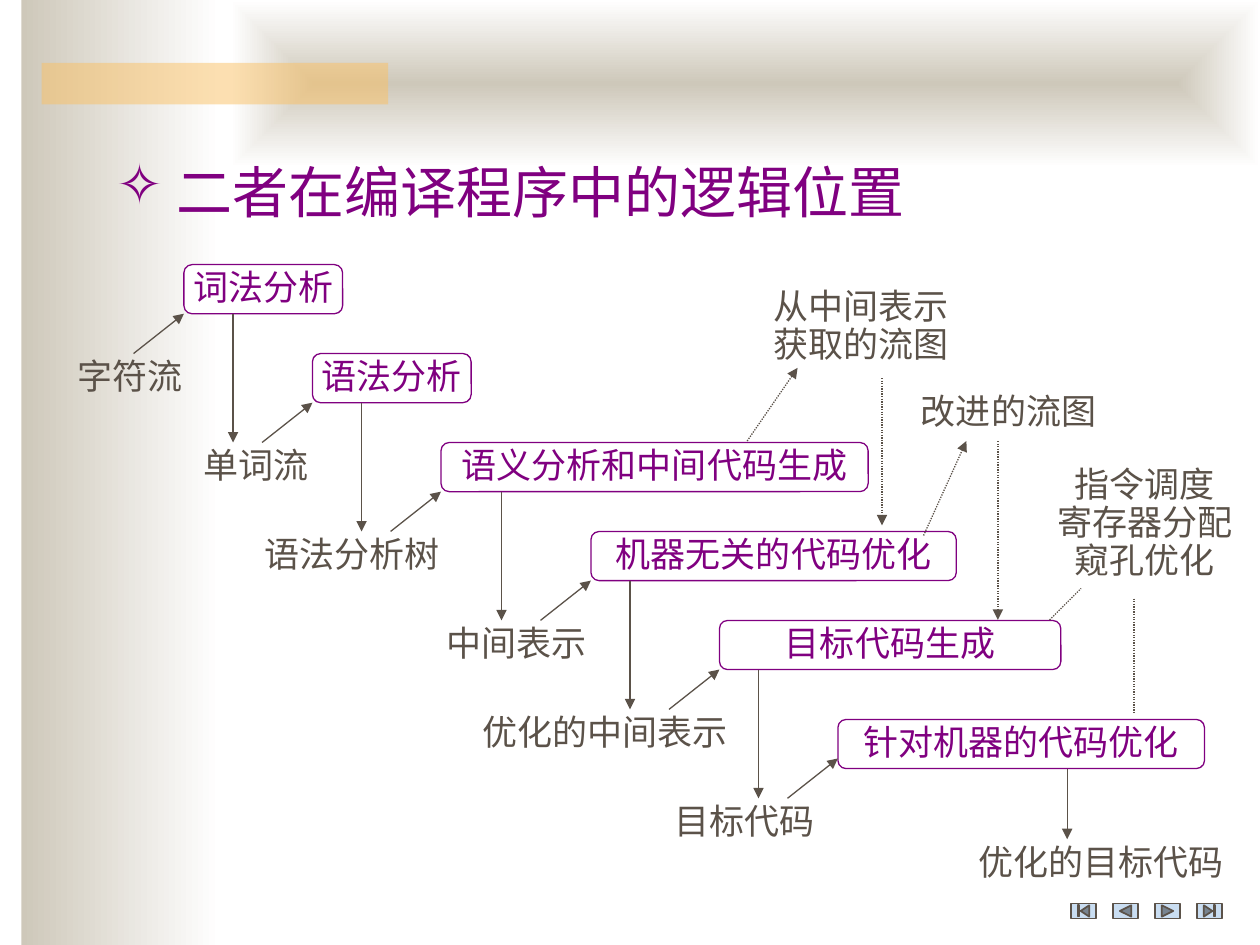
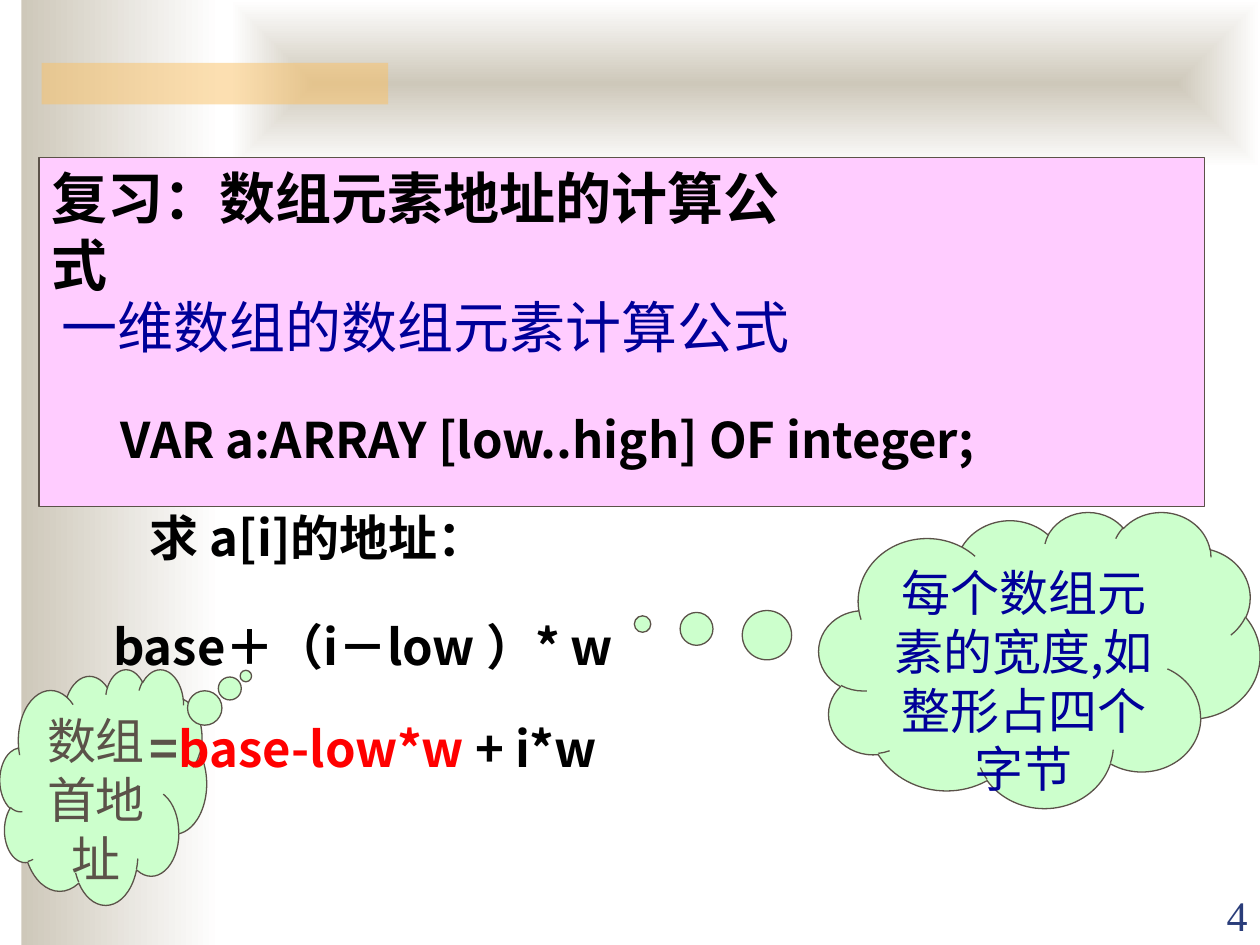
from dataclasses import dataclass
from typing import Any, Optional

import pptx
import pptx.dml.color
import pptx.enum.dml
import pptx.enum.shapes
import pptx.enum.text
import pptx.oxml
import pptx.oxml.ns
import pptx.util

COLUMNS, ROWS = 100, 75
SLIDE_WIDTH, SLIDE_HEIGHT = pptx.util.Inches(10), pptx.util.Inches(7.5)

WHITE, BLACK, RED = "FFFFFF", "000000", "FF0000"
SAND, AMBER, BROWN = "CEC8BA", "FAC164", "5B5249"
PURPLE, NAVY, SLATE = "800080", "000099", "2A3D7A"
PINK, MINT, ICE = "FFCCFF", "CCFFCC", "C9DDF1"
SERIF, SANS_SC, SANS_JP = "Times New Roman", "Noto Sans CJK SC", "Noto Sans CJK JP"

SHAPES = pptx.enum.shapes.MSO_SHAPE
ALIGN = pptx.enum.text.PP_ALIGN
ANCHOR = pptx.enum.text.MSO_ANCHOR

STAGE_HEIGHT = 3.9
LABEL_HEIGHT = 4


@dataclass(frozen=True)
class Area:
    """A rectangle in grid columns and rows."""
    left: float
    top: float
    width: float
    height: float


@dataclass(frozen=True)
class Span:
    text: str
    color: str
    font: str = SANS_JP
    bold: bool = False


@dataclass(frozen=True)
class Style:
    size: float
    align: Any = ALIGN.LEFT
    anchor: Any = ANCHOR.TOP
    side_margin: float = 0.1
    line_spacing: Optional[float] = None


@dataclass(frozen=True)
class Stage:
    """A compiler phase, the label that feeds it, and where its output leaves."""
    name: str
    left: float
    width: float
    source: str
    source_left: float
    source_width: float
    output_column: float
    shift: float = 0


@dataclass(frozen=True)
class SideNote:
    lines: tuple[str, ...]
    area: Area
    rising: tuple[float, float, float, float]
    falling: tuple[float, float, float, float]
    arrow: bool = True


@dataclass(frozen=True)
class Cloud:
    text: str
    color: str
    area: Area
    tail: tuple[float, float]


@dataclass(frozen=True)
class FreeLine:
    spans: tuple[Span, ...]
    area: Area
    size: float = 28


FLOW = Style(20, ALIGN.CENTER, side_margin=0.05, line_spacing=0.9)
STAGE_TEXT = Style(20, ALIGN.CENTER, ANCHOR.MIDDLE, 0.05, 0.9)

STAGES = (
    Stage("词法分析", 14.6, 12.6, "字符流", 5.2, 10.3, 18.5),
    Stage("语法分析", 24.8, 12.6, "单词流", 15.2, 10.3, 28.7),
    Stage("语义分析和中间代码生成", 35, 33.9, "语法分析树", 19.3, 17.3, 39.8),
    Stage("机器无关的代码优化", 46.9, 29, "中间表示", 34.3, 13.4, 50),
    Stage("目标代码生成", 57.1, 27.1, "优化的中间表示", 36.6, 22.8, 60.2),
    Stage("针对机器的代码优化", 66.5, 29.1, "目标代码", 52.4, 13.4, 84.7, 0.8),
)
RESULT_AREA = Area(76, 66.6, 22.8, LABEL_HEIGHT)

SIDE_NOTES = (
    SideNote(("从中间表示获取的流图",), Area(60, 22.5, 16.7, 7),
             (59.3, 35, 63.3, 29.2), (70, 30, 70, 41.7)),
    SideNote(("改进的流图",), Area(71.7, 30.8, 16.7, 4),
             (73.3, 42.5, 76.7, 35), (79.2, 35, 79.2, 49.2)),
    SideNote(("指令调度", "寄存器分配", "窥孔优化"), Area(82.5, 36.6, 16.7, 10),
             (83.3, 49.2, 85.8, 46.7), (90, 47.5, 90, 56.7), arrow=False),
)

NAVIGATION = (
    SHAPES.ACTION_BUTTON_BEGINNING,
    SHAPES.ACTION_BUTTON_BACK_OR_PREVIOUS,
    SHAPES.ACTION_BUTTON_FORWARD_OR_NEXT,
    SHAPES.ACTION_BUTTON_END,
)

CLOUDS = (
    Cloud("每个数组元素的宽度,如整形占四个字节", NAVY,
          Area(65, 40.6, 35, 23.5), (-0.9, -0.12)),
    Cloud("数组首地址", BROWN, Area(0, 53.1, 16.4, 18.7), (0.69, -0.47)),
)

FORMULA_LINES = (
    FreeLine((Span("=", BROWN, bold=True), Span("base-low*w ", RED, bold=True),
              Span("+ i*w", BLACK, bold=True)), Area(10.9, 56.5, 44.1, 5.7)),
    FreeLine((Span("一维数组的数组元素计算公式", NAVY),), Area(3.9, 22.7, 91.7, 6.4), 32),
    FreeLine((Span("VAR a:ARRAY [low..high] OF integer;", BLACK, bold=True),),
             Area(8.6, 32, 85, 5.7)),
    FreeLine((Span("求 a[i]的地址：", BLACK, bold=True),), Area(10.9, 39.8, 50, 5.7)),
    FreeLine((Span("base＋（i－low ）* w", BLACK, bold=True),), Area(8, 48.4, 50.4, 5.7)),
)


def rgb(color: str) -> Any:
    return pptx.dml.color.RGBColor.from_string(color)


def column(value: float) -> int:
    return round(SLIDE_WIDTH * value / COLUMNS)


def row(value: float) -> int:
    return round(SLIDE_HEIGHT * value / ROWS)


def place(area: Area) -> tuple[int, int, int, int]:
    return column(area.left), row(area.top), column(area.width), row(area.height)


def add_xml(parent: Any, tag: str, **attributes: str) -> Any:
    child = pptx.oxml.parse_xml(f"<a:{tag} {pptx.oxml.ns.nsdecls('a')}/>")
    for name, value in attributes.items():
        child.set(name, value)
    parent.append(child)
    return child


def add_shape(page: Any, kind: Any, area: Area, fill: str,
              line: Optional[str] = None, weight: float = 0.75) -> Any:
    shape = page.shapes.add_shape(kind, *place(area))
    shape.shadow.inherit = False
    shape.fill.solid()
    shape.fill.fore_color.rgb = rgb(fill)
    if line:
        shape.line.color.rgb = rgb(line)
        shape.line.width = pptx.util.Pt(weight)
    else:
        shape.line.fill.background()
    return shape


def write(shape: Any, paragraphs: list[tuple[Span, ...]], style: Style) -> None:
    frame = shape.text_frame
    frame.word_wrap = True
    frame.vertical_anchor = style.anchor
    frame.margin_left = frame.margin_right = pptx.util.Inches(style.side_margin)
    frame.margin_top = frame.margin_bottom = pptx.util.Inches(0.05)
    for index, spans in enumerate(paragraphs):
        paragraph = frame.add_paragraph() if index else frame.paragraphs[0]
        paragraph.alignment = style.align
        if style.line_spacing:
            paragraph.line_spacing = style.line_spacing
        for span in spans:
            run = paragraph.add_run()
            run.text = span.text
            run.font.size = pptx.util.Pt(style.size)
            run.font.name = span.font
            run.font.bold = span.bold
            run.font.color.rgb = rgb(span.color)
            east_asian = SANS_SC if span.font == SERIF else span.font
            add_xml(run.font._element, "ea", typeface=east_asian)


def add_text(page: Any, area: Area, paragraphs: list[tuple[Span, ...]], style: Style) -> Any:
    box = page.shapes.add_textbox(*place(area))
    write(box, paragraphs, style)
    return box


def add_label(page: Any, area: Area, *lines: str) -> None:
    add_text(page, area, [(Span(line, BROWN, SERIF),) for line in lines], FLOW)


def add_line(page: Any, ends: tuple[float, float, float, float],
             arrow: bool = True, dotted: bool = False) -> None:
    left, top, right, bottom = ends
    connector = page.shapes.add_connector(
        pptx.enum.shapes.MSO_CONNECTOR.STRAIGHT,
        column(left), row(top), column(right), row(bottom))
    connector.line.color.rgb = rgb(BROWN)
    connector.line.width = pptx.util.Pt(0.75)
    if dotted:
        connector.line.dash_style = pptx.enum.dml.MSO_LINE.ROUND_DOT
    properties = connector.element.spPr
    if arrow:
        add_xml(properties.find(pptx.oxml.ns.qn("a:ln")), "tailEnd", type="triangle")
    add_xml(properties, "effectLst")


def add_fading_band(page: Any, area: Area, from_centre: bool) -> None:
    """Sand fading to white, either rightwards or from the centre outwards."""
    band = add_shape(page, SHAPES.RECTANGLE, area, SAND)
    band.fill.gradient()
    band.fill.gradient_angle = 0
    for stop, color in zip(band.fill.gradient_stops, (SAND, WHITE)):
        stop.color.rgb = rgb(color)
    if from_centre:
        linear = next(band.element.spPr.iter(pptx.oxml.ns.qn("a:lin")))
        gradient = linear.getparent()
        gradient.remove(linear)
        centre = add_xml(gradient, "path", path="rect")
        add_xml(centre, "fillToRect", **dict.fromkeys("ltrb", "50000"))


def add_page(deck: Any) -> Any:
    """A blank page with the bands every slide shares."""
    page = deck.slides.add_slide(deck.slide_layouts[6])
    add_fading_band(page, Area(1.7, 0, 15.8, ROWS), from_centre=False)
    add_fading_band(page, Area(18.3, 0, 81.7, 13.3), from_centre=True)
    accent = add_shape(page, SHAPES.RECTANGLE, Area(3.3, 5, 27.5, 3.3), AMBER)
    color = next(accent.element.spPr.iter(pptx.oxml.ns.qn("a:srgbClr")))
    add_xml(color, "alpha", val="50000")
    return page


def step_row(index: int) -> float:
    return 21 + 7.06 * index


def add_stage(page: Any, index: int, stage: Stage) -> None:
    top = step_row(index) + stage.shift
    box = add_shape(page, SHAPES.ROUNDED_RECTANGLE,
                    Area(stage.left, top, stage.width, STAGE_HEIGHT), WHITE, PURPLE)
    write(box, [(Span(stage.name, PURPLE, SERIF),)], STAGE_TEXT)
    source_top = step_row(index + 1)
    add_label(page, Area(stage.source_left, source_top, stage.source_width, LABEL_HEIGHT),
              stage.source)
    add_line(page, (stage.left - 4, source_top, stage.left, step_row(index) + STAGE_HEIGHT))
    is_last = index == len(STAGES) - 1
    output_top = RESULT_AREA.top if is_last else step_row(index + 2)
    add_line(page, (stage.output_column, top + STAGE_HEIGHT, stage.output_column, output_top))


def build_pipeline_page(deck: Any) -> None:
    page = add_page(deck)
    title = add_text(page, Area(8.3, 12, 75.9, 6.4),
                     [(Span(" 二者", PURPLE, SERIF),
                       Span("在编译程序中的逻辑位置", PURPLE, SANS_SC))], Style(32))
    properties = title.text_frame.paragraphs[0]._p.get_or_add_pPr()
    add_xml(add_xml(properties, "buClr"), "srgbClr", val=PURPLE)
    add_xml(properties, "buChar", char="✧")
    for index, kind in enumerate(NAVIGATION):
        add_shape(page, kind, Area(85 + index * 10 / 3, 71.7, 2, 1.2), ICE, BROWN, 1)
    for index, stage in enumerate(STAGES):
        add_stage(page, index, stage)
    add_label(page, RESULT_AREA, "优化的目标代码")
    for note in SIDE_NOTES:
        add_label(page, note.area, *note.lines)
        for ends in (note.rising, note.falling):
            add_line(page, ends, note.arrow, dotted=True)


def build_array_page(deck: Any) -> None:
    page = add_page(deck)
    add_text(page, Area(90, 70.1, 10, 5), [(Span("4", SLATE, SERIF),)],
             Style(24, ALIGN.RIGHT, ANCHOR.BOTTOM))
    panel = add_shape(page, SHAPES.RECTANGLE, Area(3.1, 12.5, 92.5, 27.7), PINK, BROWN)
    write(panel, [(Span("复习：数组元素地址的计算公式", BLACK, bold=True),)], Style(32))
    panel.text_frame.margin_right = column(31.5)
    for cloud in CLOUDS:
        shape = add_shape(page, SHAPES.CLOUD_CALLOUT, cloud.area, MINT, BROWN)
        shape.adjustments[0], shape.adjustments[1] = cloud.tail
        write(shape, [(Span(cloud.text, cloud.color),)], Style(28, ALIGN.CENTER))
    for line in FORMULA_LINES:
        add_text(page, line.area, [line.spans], Style(line.size))


def main() -> None:
    deck = pptx.Presentation()
    deck.slide_width, deck.slide_height = SLIDE_WIDTH, SLIDE_HEIGHT
    build_pipeline_page(deck)
    build_array_page(deck)
    deck.save("out.pptx")


if __name__ == "__main__":
    main()
